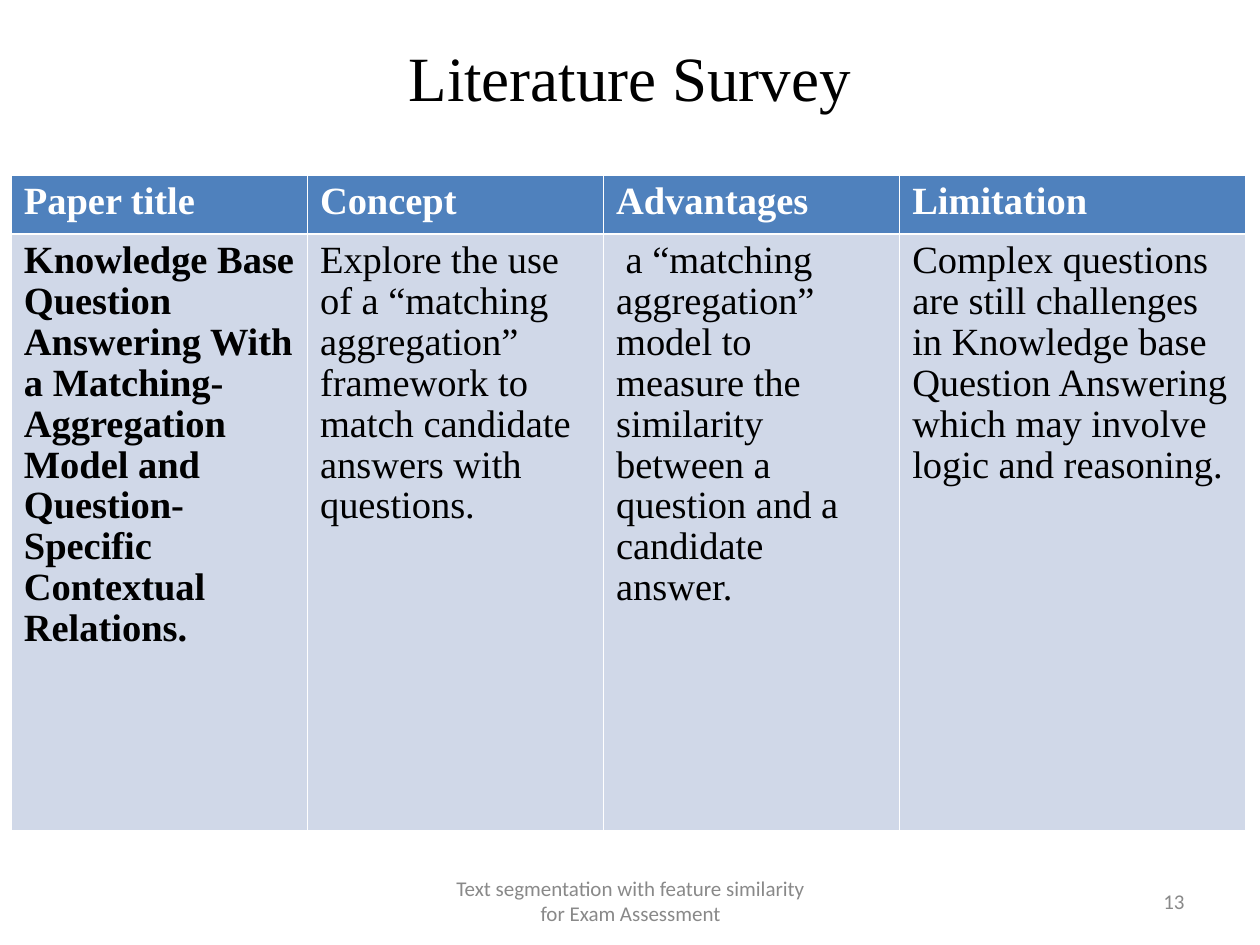
from dataclasses import dataclass

from lxml import etree
from pptx import Presentation
from pptx.dml.color import RGBColor
from pptx.enum.text import MSO_ANCHOR, PP_ALIGN
from pptx.oxml.ns import qn
from pptx.util import Inches, Pt

LEFT, CENTER = PP_ALIGN.LEFT, PP_ALIGN.CENTER
RIGHT, JUSTIFY = PP_ALIGN.RIGHT, PP_ALIGN.JUSTIFY
MIDDLE = MSO_ANCHOR.MIDDLE

SLIDE_WIDTH, SLIDE_HEIGHT = 10, 7.5
SERIF, SANS = "Times New Roman", "Calibri"
BLACK, WHITE, GREY = "000000", "FFFFFF", "898989"
HEADER_BLUE, BODY_BLUE = "4F81BD", "D0D8E8"
THIN, THICK = 0.45, 1.47

TABLE_LEFT, TABLE_TOP = 0.09, 1.39
COLUMN_WIDTHS = (2.35, 2.35, 2.35, 2.74)
ROW_HEIGHTS = (0.47, 4.73)


@dataclass
class TextStyle:
    size: float
    font: str
    color: str
    bold: bool = False
    align: PP_ALIGN = LEFT
    line_spacing: float | None = None


@dataclass
class Label:
    text: str
    left: float
    top: float
    width: float
    height: float
    style: TextStyle
    inset: tuple[float, float] = (0.1, 0.05)


HEADER = TextStyle(22, SERIF, WHITE, True, JUSTIFY, 0.96)
PAPER = TextStyle(22, SERIF, BLACK, True, LEFT, 0.96)
BODY = TextStyle(22, SERIF, BLACK, False, LEFT, 0.96)

LABELS = (
    Label("Literature Survey", 0.5, 0.3, 9, 0.61,
          TextStyle(36, SERIF, BLACK, align=CENTER), (0, 0)),
    Label("Text segmentation with feature similarity for Exam Assessment",
          3.42, 6.95, 3.17, 0.4, TextStyle(12, SANS, GREY, align=CENTER)),
    Label("13", 7.17, 6.95, 2.33, 0.4, TextStyle(12, SANS, GREY, align=RIGHT)),
)

HEADINGS = ("Paper title ", "Concept", "Advantages", "Limitation")
SURVEY = (
    ("Knowledge Base Question Answering With a Matching-Aggregation Model "
     "and Question-Specific Contextual Relations.",),
    ("Explore the use of a “matching aggregation”",
     "framework to match candidate answers with questions."),
    (" a “matching aggregation” model to measure the similarity between "
     "a question and a candidate answer.",),
    ("Complex questions are still challenges in Knowledge base Question "
     "Answering which may involve logic and reasoning.",),
)


def rgb(color: str) -> RGBColor:
    return RGBColor.from_string(color)


def write_text(text_frame, paragraphs: tuple[str, ...], style: TextStyle) -> None:
    for index, text in enumerate(paragraphs):
        paragraph = text_frame.add_paragraph() if index else text_frame.paragraphs[0]
        paragraph.alignment = style.align
        if style.line_spacing:
            paragraph.line_spacing = style.line_spacing
        run = paragraph.add_run()
        run.text = text
        run.font.size = Pt(style.size)
        run.font.name = style.font
        run.font.bold = style.bold
        run.font.color.rgb = rgb(style.color)


def add_label(slide, label: Label) -> None:
    shape = slide.shapes.add_textbox(Inches(label.left), Inches(label.top),
                                     Inches(label.width), Inches(label.height))
    frame = shape.text_frame
    frame.word_wrap = True
    frame.vertical_anchor = MIDDLE
    horizontal, vertical = map(Inches, label.inset)
    frame.margin_left = frame.margin_right = horizontal
    frame.margin_top = frame.margin_bottom = vertical
    write_text(frame, (label.text,), label.style)


def set_borders(cell, top: float, bottom: float) -> None:
    """Draw white borders; call before the fill, which must follow in the XML."""
    properties = cell._tc.get_or_add_tcPr()
    for side, width in zip("LRTB", (THIN, THIN, top, bottom)):
        line = etree.SubElement(properties, qn(f"a:ln{side}"), w=str(Pt(width)))
        fill = etree.SubElement(line, qn("a:solidFill"))
        etree.SubElement(fill, qn("a:srgbClr"), val=WHITE)


def fill_cell(cell, paragraphs: tuple[str, ...], style: TextStyle, fill: str) -> None:
    cell.fill.solid()
    cell.fill.fore_color.rgb = rgb(fill)
    write_text(cell.text_frame, paragraphs, style)


def add_survey_table(slide) -> None:
    table = slide.shapes.add_table(
        len(ROW_HEIGHTS), len(COLUMN_WIDTHS), Inches(TABLE_LEFT), Inches(TABLE_TOP),
        Inches(sum(COLUMN_WIDTHS)), Inches(sum(ROW_HEIGHTS))).table
    for row, height in zip(table.rows, ROW_HEIGHTS):
        row.height = Inches(height)
    for index, width in enumerate(COLUMN_WIDTHS):
        table.columns[index].width = Inches(width)
        heading, body = table.cell(0, index), table.cell(1, index)
        set_borders(heading, THIN, THICK)
        set_borders(body, THICK, THIN)
        fill_cell(heading, (HEADINGS[index],), HEADER, HEADER_BLUE)
        fill_cell(body, SURVEY[index], BODY if index else PAPER, BODY_BLUE)


def main() -> None:
    presentation = Presentation()
    presentation.slide_width = Inches(SLIDE_WIDTH)
    presentation.slide_height = Inches(SLIDE_HEIGHT)
    slide = presentation.slides.add_slide(presentation.slide_layouts[6])
    add_survey_table(slide)
    for label in LABELS:
        add_label(slide, label)
    presentation.save("out.pptx")


if __name__ == "__main__":
    main()
